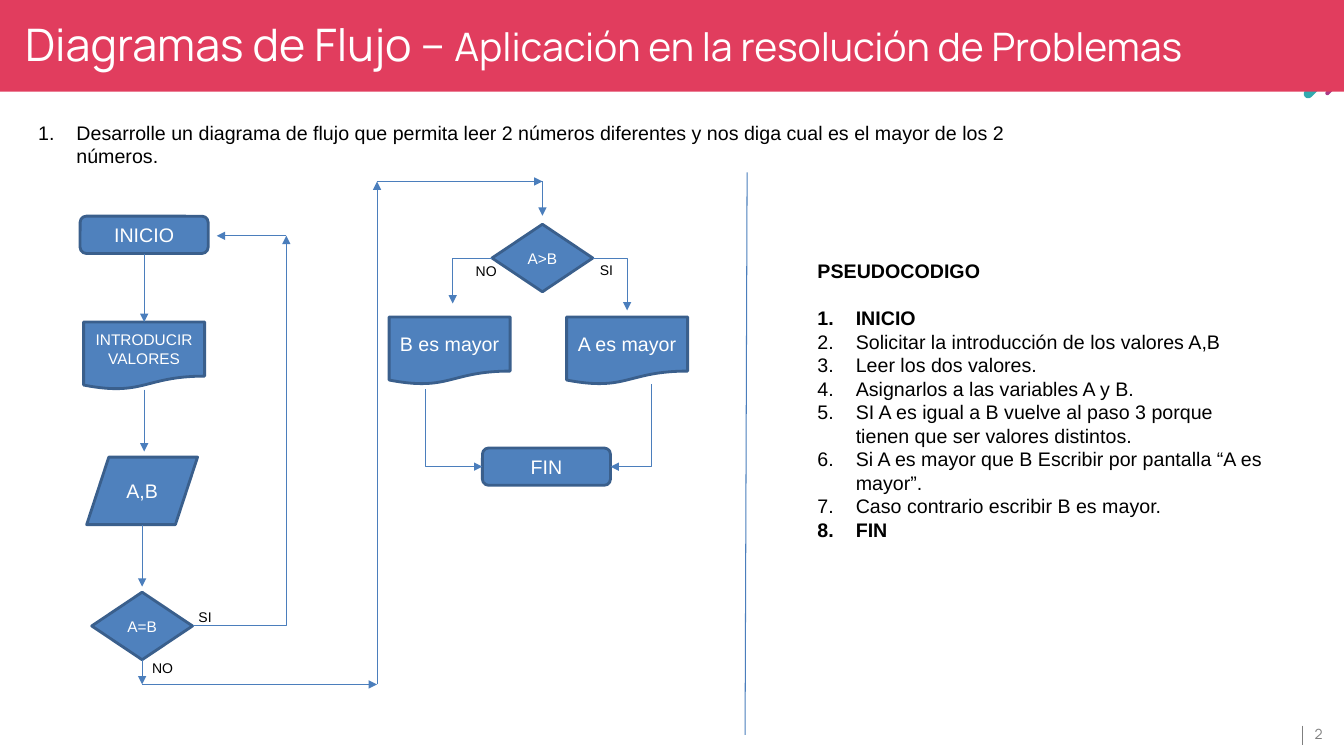
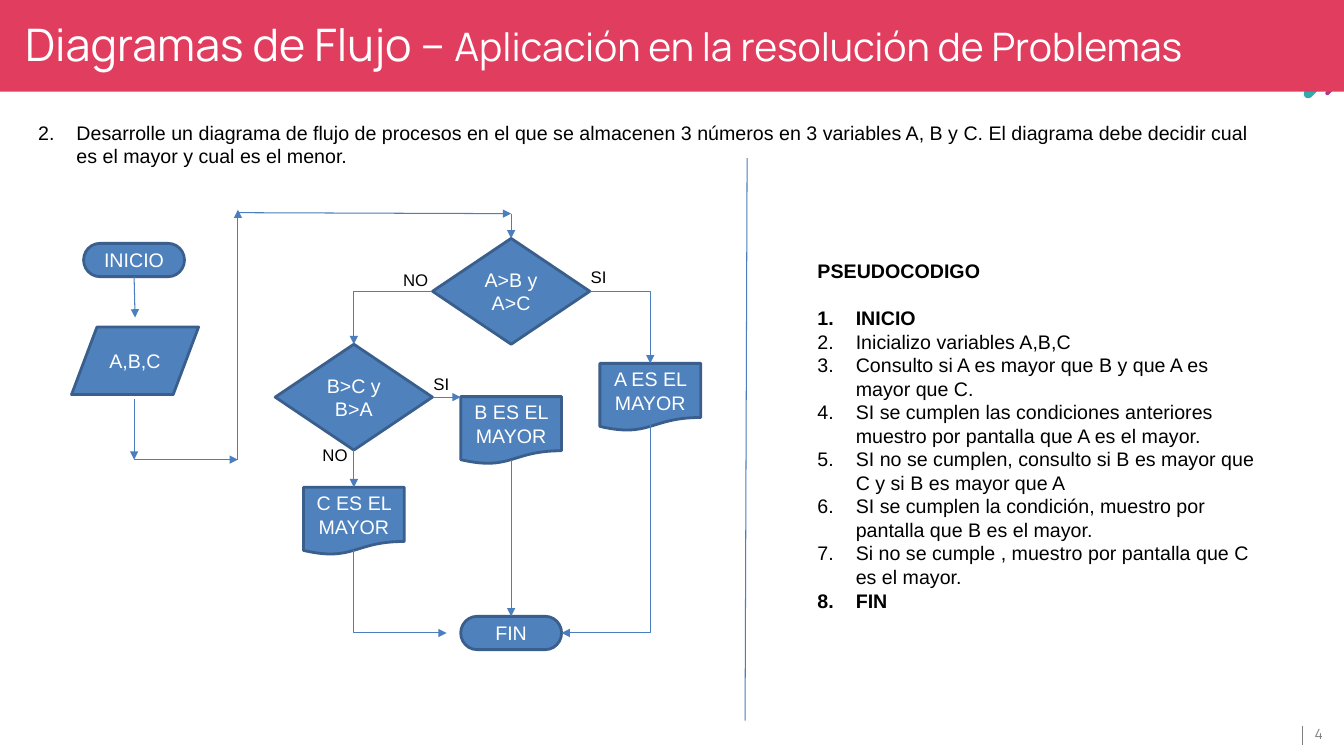
from dataclasses import dataclass
from itertools import pairwise

from lxml import etree
from pptx import Presentation
from pptx.dml.color import RGBColor
from pptx.enum.shapes import MSO_CONNECTOR as CONN, MSO_SHAPE as SHAPE
from pptx.enum.text import MSO_ANCHOR as ANCHOR, PP_ALIGN as ALIGN
from pptx.oxml.ns import qn
from pptx.util import Inches, Pt


@dataclass(frozen=True)
class Theme:
    band: str = "E13D5E"
    teal: str = "32AAAF"
    purple: str = "AA3B86"
    node: str = "4F81BD"
    node_line: str = "3A5F8C"
    link: str = "4B7EBC"
    gray: str = "7F7F7F"
    white: str = "FFFFFF"
    black: str = "000000"
    body_font: str = "Arial"
    title_font: str = "Manrope"
    title: int = 32
    subtitle: int = 28
    body: int = 14
    small: int = 11
    number: int = 10


@dataclass(frozen=True)
class Box:
    x: float
    y: float
    w: float
    h: float

    def inches(self):
        return [Inches(v) for v in (self.x, self.y, self.w, self.h)]

    def side(self, name):
        dx, dy = {"n": (0.5, 0), "s": (0.5, 1), "w": (0, 0.5), "e": (1, 0.5)}[name]
        return self.x + dx * self.w, self.y + dy * self.h


T = Theme()
HEADER = Box(-0.03, -0.01, 13.39, 0.92)
FLOW = Box(0.7, 1.7, 6.6, 5.1)
PSEUDO = Box(8.01, 2.52, 4.67, 3.6)
FOOTER = Box(12.92, 7.14, 0.44, 0.28)


def rgb(color):
    return RGBColor.from_string(color)


def write(p, text, size=T.body, color=T.black, font=T.body_font, bold=False):
    r = p.add_run()
    r.text = text
    r.font.size = Pt(size)
    r.font.color.rgb = rgb(color)
    r.font.name = font
    r.font.bold = bold
    return r


def text_box(s, box, wrap=True, inset=None, anchor=ANCHOR.TOP):
    tf = s.shapes.add_textbox(*box.inches()).text_frame
    tf.word_wrap = wrap
    tf.vertical_anchor = anchor
    if inset is not None:
        tf.margin_left = tf.margin_right = Inches(inset)
        tf.margin_top = tf.margin_bottom = Inches(inset)
    return tf


def number(p, start=1):
    pPr = p._p.get_or_add_pPr()
    pPr.set("marL", str(Inches(0.38)))
    pPr.set("indent", str(-Inches(0.38)))
    auto = etree.SubElement(pPr, qn("a:buAutoNum"), type="arabicPeriod")
    if start > 1:
        auto.set("startAt", str(start))


def shape(s, kind, box, fill, line=None):
    sp = s.shapes.add_shape(kind, *box.inches())
    sp.shadow.inherit = False
    sp.fill.solid()
    sp.fill.fore_color.rgb = rgb(fill)
    if line:
        sp.line.color.rgb = rgb(line)
        sp.line.width = Pt(2)
    else:
        sp.line.fill.background()
    return sp


def connect(s, start, end, color=T.link, width=0.75, arrow=None, bent=False):
    c = s.shapes.add_connector(
        CONN.ELBOW if bent else CONN.STRAIGHT, *[Inches(v) for v in (*start, *end)]
    )
    c.line.color.rgb = rgb(color)
    c.line.width = Pt(width)
    spPr = c._element.spPr
    if bent:
        spPr.find(qn("a:prstGeom")).set("prst", "bentConnector2")
    if arrow:
        etree.SubElement(spPr.find(qn("a:ln")), qn(f"a:{arrow}"), type="triangle")
    etree.SubElement(spPr, qn("a:effectLst"))


def header(s, box):
    for dx, dy, w, h, color in (
        (13.14, 0.46, 0.09, 0.6, T.teal),
        (13.26, 0.71, 0.04, 0.28, T.purple),
    ):
        sp = shape(s, SHAPE.ROUND_2_SAME_RECTANGLE, Box(box.x + dx, box.y + dy, w, h), color)
        sp.adjustments[0] = 0.5
        sp.rotation = 225
    shape(s, SHAPE.RECTANGLE, box, T.band)
    tf = text_box(s, Box(box.x + 0.15, box.y + 0.05, 12.73, 0.64), inset=0.13)
    for text, size in (
        ("Diagramas de Flujo – ", T.title),
        ("Aplicación en la resolución de Problemas", T.subtitle),
    ):
        write(tf.paragraphs[0], text, size=size, color=T.white, font=T.title_font)


def footer(s, box, page):
    connect(s, (box.x, box.y + 0.06), (box.x, box.y + 0.25), color=T.gray, width=1)
    tf = text_box(s, Box(box.x + 0.08, box.y, 0.36, box.h), inset=0.04, anchor=ANCHOR.MIDDLE)
    write(tf.paragraphs[0], str(page), size=T.number, color=T.gray, font=T.title_font)


def question(s, box, text, start):
    p = text_box(s, box).paragraphs[0]
    number(p, start)
    write(p, text)


def pseudocode(s, box, steps):
    tf = text_box(s, box)
    p = tf.paragraphs[0]
    p.space_after = Pt(16.8)
    write(p, "PSEUDOCODIGO", bold=True)
    for step in ("INICIO", *steps, "FIN"):
        p = tf.add_paragraph()
        number(p)
        write(p, step, bold=step in ("INICIO", "FIN"))


def flowchart(s, box, kinds, nodes, links, labels, label_size):
    placed = {}
    for name, (kind, text, cx, cy, size) in nodes.items():
        preset, w, h = kinds[kind]
        placed[name] = Box(box.x + cx - w / 2, box.y + cy - h / 2, w, h)
        sp = shape(s, preset, placed[name], T.node, T.node_line)
        p = sp.text_frame.paragraphs[0]
        p.alignment = ALIGN.CENTER
        write(p, text, size=size, color=T.white)

    def point(ref):
        if isinstance(ref, str):
            name, side = ref.split(".")
            return placed[name].side(side)
        return box.x + ref[0], box.y + ref[1]

    for bend, *refs in links:
        for start, end in pairwise(map(point, refs)):
            if bend == "down first":
                connect(s, end, start, arrow="headEnd", bent=True)
            else:
                connect(s, start, end, arrow="tailEnd", bent=bend == "across first")

    for text, x, y in labels:
        tf = text_box(s, Box(box.x + x, box.y + y, 0.45, 0.28), wrap=False)
        write(tf.paragraphs[0], text, size=label_size)


def exercise(prs, page, start, width, text, divider, steps, chart):
    s = prs.slides.add_slide(prs.slide_layouts[6])
    header(s, HEADER)
    footer(s, FOOTER, page)
    question(s, Box(0.28, 1.15, width, 0.57), text, start)
    flowchart(s, FLOW, **chart)
    connect(s, (7.41, divider), (7.39, divider + 5.58))
    pseudocode(s, PSEUDO, steps)


TWO_NUMBERS = dict(
    kinds={
        "end": (SHAPE.ROUNDED_RECTANGLE, 1.27, 0.37),
        "show": (SHAPE.FLOWCHART_DOCUMENT, 1.2, 0.67),
        "data": (SHAPE.FLOWCHART_DATA, 1.1, 0.67),
        "test": (SHAPE.FLOWCHART_DECISION, 1, 0.67),
    },
    nodes={
        "inicio": ("end", "INICIO", 0.73, 0.63, T.body),
        "fin": ("end", "FIN", 4.72, 2.93, T.body),
        "valores": ("show", "INTRODUCIR VALORES", 0.73, 1.83, T.small),
        "leer": ("data", "A,B", 0.71, 3.17, T.body),
        "igual": ("test", "A=B", 0.71, 4.51, T.small),
        "mayor": ("test", "A>B", 4.68, 0.86, T.small),
        "a": ("show", "A es mayor", 5.52, 1.78, T.body),
        "b": ("show", "B es mayor", 3.76, 1.78, T.body),
    },
    links=[
        ("straight", "inicio.s", "valores.n"),
        ("straight", "valores.s", (0.73, 2.78)),
        ("straight", "leer.s", (0.71, 4.12)),
        ("across first", "igual.e", (2.14, 0.64)),
        ("straight", (2.14, 0.64), (1.45, 0.64)),
        ("straight", "igual.s", (0.71, 5.09), (3.04, 5.09), (3.04, 0.1), (4.68, 0.1), (4.68, 0.44)),
        ("across first", "mayor.e", (5.52, 1.38)),
        ("across first", "mayor.w", (3.79, 1.31)),
        ("down first", (5.76, 2.11), "fin.e"),
        ("down first", (3.52, 2.16), "fin.w"),
    ],
    labels=[("SI", 1.17, 4.29), ("SI", 5.15, 0.84), ("NO", 3.92, 0.85), ("NO", 0.71, 4.79)],
    label_size=10,
)

THREE_NUMBERS = dict(
    kinds={
        "end": (SHAPE.FLOWCHART_TERMINATOR, 1, 0.33),
        "show": (SHAPE.FLOWCHART_DOCUMENT, 1, 0.67),
        "data": (SHAPE.FLOWCHART_DATA, 1.26, 0.67),
        "test": (SHAPE.FLOWCHART_DECISION, 1.56, 1.05),
    },
    nodes={
        "inicio": ("end", "INICIO", 0.63, 0.88, T.body),
        "fin": ("end", "FIN", 4.37, 4.58, T.body),
        "leer": ("data", "A,B,C", 0.64, 1.88, T.body),
        "mayor_a": ("test", "A>B y A>C", 4.37, 1.19, T.body),
        "mayor_b": ("test", "B>C y B>A", 2.81, 2.24, T.body),
        "a": ("show", "A ES EL MAYOR", 5.75, 2.24, T.body),
        "b": ("show", "B ES EL MAYOR", 4.37, 2.57, T.body),
        "c": ("show", "C ES EL MAYOR", 2.81, 3.47, T.body),
    },
    links=[
        ("straight", "inicio.s", (0.64, 1.45)),
        ("straight", (0.63, 2.26), (0.63, 2.86), (1.66, 2.86), (1.66, 0.38)),
        ("straight", (1.66, 0.41), (4.37, 0.42), "mayor_a.n"),
        ("across first", "mayor_a.e", "a.n"),
        ("across first", "mayor_a.w", "mayor_b.n"),
        ("straight", "mayor_b.e", (3.87, 2.24)),
        ("straight", "mayor_b.s", "c.n"),
        ("straight", (4.37, 2.86), "fin.n"),
        ("down first", (2.81, 3.76), (3.73, 4.58)),
        ("down first", (5.75, 2.52), "fin.e"),
    ],
    labels=[("SI", 5.06, 0.9), ("NO", 3.2, 0.93), ("SI", 3.5, 1.96), ("NO", 2.4, 2.66)],
    label_size=12,
)


def main():
    prs = Presentation()
    prs.slide_width, prs.slide_height = Inches(13.33), Inches(7.5)
    exercise(
        prs, page=2, start=1, width=10.6, divider=1.71, chart=TWO_NUMBERS,
        text="Desarrolle un diagrama de flujo que permita leer 2 números diferentes y nos diga cual es el mayor de los 2 números.",
        steps=[
            "Solicitar la introducción de los valores A,B",
            "Leer los dos valores.",
            "Asignarlos a las variables A y B.",
            "SI A es igual a B vuelve al paso 3 porque tienen que ser valores distintos.",
            "Si A es mayor que B Escribir por pantalla “A es mayor”.",
            "Caso contrario escribir B es mayor.",
        ],
    )
    exercise(
        prs, page=4, start=2, width=12.4, divider=1.57, chart=THREE_NUMBERS,
        text="Desarrolle un diagrama de flujo de procesos en el que se almacenen 3 números en 3 variables A, B y C. El diagrama debe decidir cual es el mayor y cual es el menor.",
        steps=[
            "Inicializo variables A,B,C",
            "Consulto si A es mayor que B y que A es mayor que C.",
            "SI se cumplen las condiciones anteriores muestro por pantalla que A es el mayor.",
            "SI no se cumplen, consulto si B es mayor que C y si B es mayor que A",
            "SI se cumplen la condición, muestro por pantalla que B es el mayor.",
            "Si no se cumple , muestro por pantalla que C es el mayor.",
        ],
    )
    prs.save("out.pptx")


if __name__ == "__main__":
    main()
